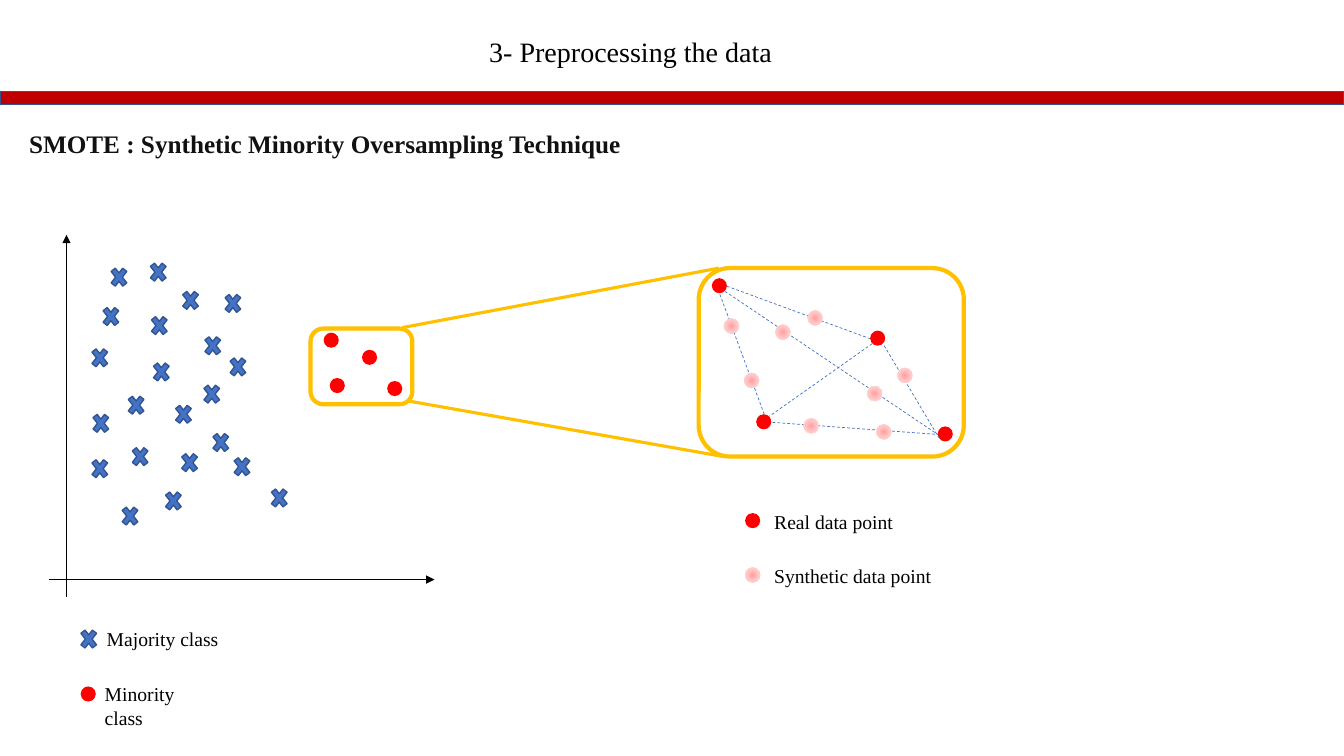
from pptx import Presentation, oxml, util as u
from pptx.dml.color import RGBColor
from pptx.enum import dml, shapes, text
from pptx.oxml import ns

FONT = "Times New Roman"
BLACK = RGBColor(0x00, 0x00, 0x00)
INK = RGBColor(0x11, 0x11, 0x11)
CRIMSON = RGBColor(0xC0, 0x00, 0x00)
RED = RGBColor(0xFF, 0x00, 0x00)
BLUE = RGBColor(0x44, 0x72, 0xC4)
NAVY = RGBColor(0x32, 0x54, 0x91)
AMBER = RGBColor(0xFF, 0xC0, 0x00)
PINKS = RGBColor(0xFF, 0xA0, 0xA0), RGBColor(0xFF, 0xC5, 0xC5), RGBColor(0xFF, 0xE3, 0xE3)

# The grid has 1333 columns and 750 rows; every position below counts its cells.
COLUMNS, ROWS = 1333, 750
CELL = u.Inches(0.01)
DOT = 15
CROSS_WIDTH, CROSS_HEIGHT = 22, 28

presentation = Presentation()
presentation.slide_width = COLUMNS * CELL
presentation.slide_height = ROWS * CELL
slide = presentation.slides.add_slide(presentation.slide_layouts[6])


def add_mark(kind, left, top, width, height, fill=None, outline=None, weight=1):
    shape = slide.shapes.add_shape(kind, *(cells * CELL for cells in (left, top, width, height)))
    shape.shadow.inherit = False
    if fill is None:
        shape.fill.background()
    else:
        shape.fill.solid()
        shape.fill.fore_color.rgb = fill
    if outline is None:
        shape.line.fill.background()
    else:
        shape.line.color.rgb = outline
        shape.line.width = u.Pt(weight)
    return shape


def add_line(start, end, color, weight, dashed=False, arrow=False):
    connector = slide.shapes.add_connector(
        shapes.MSO_CONNECTOR.STRAIGHT, *(cells * CELL for cells in (*start, *end)))
    connector.line.color.rgb = color
    connector.line.width = u.Pt(weight)
    if dashed:
        connector.line.dash_style = dml.MSO_LINE.DASH
    properties = connector._element.spPr
    if arrow:
        tail = oxml.parse_xml(f'<a:tailEnd {ns.nsdecls("a")} type="triangle"/>')
        properties.find(ns.qn("a:ln")).append(tail)
    properties.append(oxml.parse_xml(f'<a:effectLst {ns.nsdecls("a")}/>'))


# Banner
add_mark(shapes.MSO_SHAPE.RECTANGLE, 0, 91, COLUMNS, 13, CRIMSON, NAVY)

# Axes
for start, end in [((49, 575), (431, 575)), ((66, 592), (66, 233))]:
    add_line(start, end, BLACK, 0.5, arrow=True)

# Majority class, with its legend mark last
majority = [
    (146, 256), (99, 300), (147, 309), (88, 341), (178, 284), (149, 355), (200, 329),
    (199, 377), (124, 388), (171, 397), (107, 261), (89, 406), (128, 439), (225, 350),
    (88, 451), (208, 425), (220, 287), (177, 445), (161, 483), (229, 449), (118, 498),
    (266, 480), (77, 620),
]
for left, top in majority:
    add_mark(shapes.MSO_SHAPE.MATH_MULTIPLY, left, top, CROSS_WIDTH, CROSS_HEIGHT, BLUE, NAVY)

# Minority class: the small frame, the enlarged frame, the two legend marks
minority = [
    (321, 330), (359, 347), (384, 378), (327, 375),
    (706, 276), (863, 328), (930, 423), (750, 411),
    (80, 681), (739, 509),
]
for left, top in minority:
    add_mark(shapes.MSO_SHAPE.OVAL, left, top, DOT, DOT, RED)

# Frames and the lines that enlarge one into the other
for frame in [(308, 326, 101, 75), (693, 266, 263, 187)]:
    add_mark(shapes.MSO_SHAPE.ROUNDED_RECTANGLE, *frame, outline=AMBER, weight=3)

neighbour_lines = [
    ((714, 292), (758, 411)), ((721, 284), (863, 336)), ((719, 289), (930, 431)),
    ((877, 343), (931, 434)), ((766, 419), (930, 431)), ((865, 341), (763, 413)),
]
for start, end in neighbour_lines:
    add_line(start, end, BLUE, 0.5, dashed=True)
for start, end in [((399, 325), (713, 266)), ((406, 398), (718, 453))]:
    add_line(start, end, AMBER, 2.25)

# Synthetic points, with their legend mark last
synthetic = [
    (718, 316), (738, 370), (769, 322), (801, 308), (797, 415),
    (869, 421), (860, 383), (890, 365), (739, 563),
]
stops = "".join(
    f'<a:gs pos="{index * 50000}"><a:srgbClr val="{pink}"/></a:gs>'
    for index, pink in enumerate(PINKS))
for left, top in synthetic:
    dot = add_mark(shapes.MSO_SHAPE.OVAL, left, top, DOT, DOT)
    gradient = oxml.parse_xml(
        f'<a:gradFill {ns.nsdecls("a")}><a:gsLst>{stops}</a:gsLst><a:path path="circle">'
        '<a:fillToRect l="50000" t="50000" r="50000" b="50000"/></a:path></a:gradFill>')
    properties = dot._element.spPr
    properties.replace(properties.find(ns.qn("a:noFill")), gradient)

# Title, heading and legend labels
LEFT, CENTER = text.PP_ALIGN.LEFT, text.PP_ALIGN.CENTER
labels = [
    ("3- Preprocessing the data", (474, 29, 303, 44), 20, BLACK, False, CENTER),
    ("SMOTE : Synthetic Minority Oversampling Technique", (19, 122, 667, 40), 18, INK, True, LEFT),
    ("Majority class", (96, 617, 131, 34), 14, BLACK, False, LEFT),
    ("Minority class", (94, 672, 131, 34), 14, BLACK, False, LEFT),
    ("Real data point", (758, 501, 142, 34), 14, BLACK, False, LEFT),
    ("Synthetic data point", (758, 555, 180, 34), 14, BLACK, False, LEFT),
]
for wording, box, size, color, bold, alignment in labels:
    text_frame = slide.shapes.add_textbox(*(cells * CELL for cells in box)).text_frame
    text_frame.word_wrap = True
    text_frame.text = wording
    paragraph = text_frame.paragraphs[0]
    paragraph.alignment = alignment
    font = paragraph.runs[0].font
    font.name, font.size, font.bold = FONT, u.Pt(size), bold
    font.color.rgb = color

presentation.save("out.pptx")
